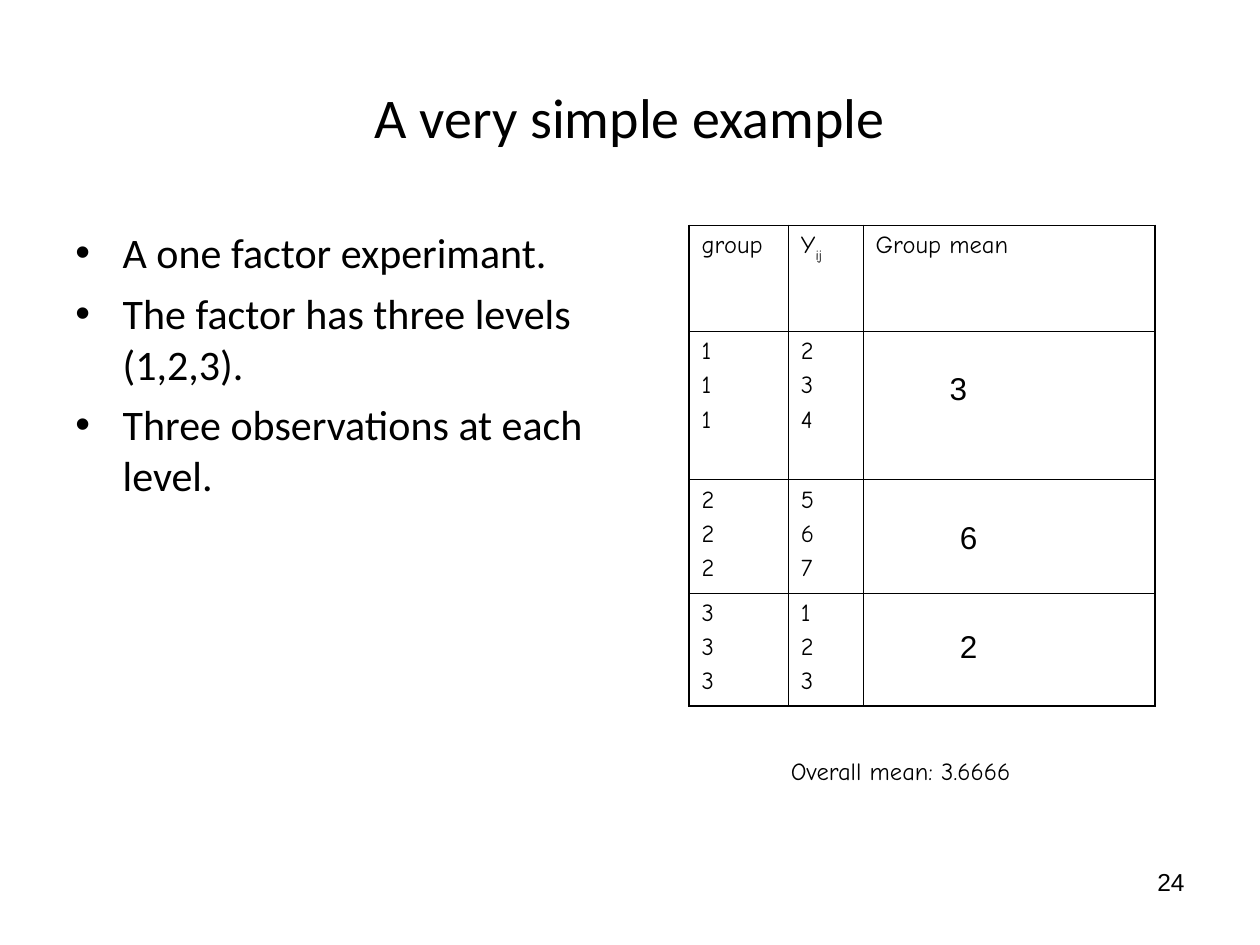
import pptx
import pptx.util
import pptx.dml.color
import pptx.enum.text
import pptx.oxml.ns
import lxml.etree

Pt = pptx.util.Pt
ALIGN = pptx.enum.text.PP_ALIGN
ANCHOR = pptx.enum.text.MSO_ANCHOR
BLACK = "000000"
HAND = "Comic Neue"


def color(code):
    """Turn a hex string into a colour."""
    return pptx.dml.color.RGBColor.from_string(code)


def node(parent, tag, **attrs):
    """Add a drawing element below a parent."""
    return lxml.etree.SubElement(parent, pptx.oxml.ns.qn(tag), **attrs)


def write(frame, text, font="Calibri", size=14, align=ALIGN.LEFT,
          anchor=ANCHOR.TOP, before=0, bullet=None, sub=""):
    """Fill a text frame, one paragraph a line, with an optional subscript."""
    frame.word_wrap = True
    frame.vertical_anchor = anchor
    for i, line in enumerate(text.split("\n")):
        para = frame.add_paragraph() if i else frame.paragraphs[0]
        para.alignment = align
        para.space_before = Pt(before)
        if bullet:
            props = para._p.get_or_add_pPr()
            props.set("marL", str(Pt(27)))
            props.set("indent", str(Pt(-27)))
            node(props, "a:buFont", typeface="Arial")
            node(props, "a:buChar", char=bullet)
        for part in filter(None, (line, sub)):
            run = para.add_run()
            run.text = part
            run.font.name = font
            run.font.size = Pt(size)
            run.font.color.rgb = color(BLACK)
        if sub:
            run._r.get_or_add_rPr().set("baseline", "-25000")


def label(slide, box, text, **style):
    """Place a text box."""
    shape = slide.shapes.add_textbox(*map(Pt, box))
    write(shape.text_frame, text, **style)


def border(cell, **sides):
    """Draw the four borders of a cell, given their widths."""
    props = cell._tc.get_or_add_tcPr()
    for spot, (side, width) in enumerate(sides.items()):
        line = lxml.etree.Element(pptx.oxml.ns.qn("a:ln" + side), w=str(Pt(width)))
        fill = node(line, "a:solidFill")
        node(fill, "a:srgbClr", val=BLACK)
        props.insert(spot, line)


def grid(slide, box, cols, rows, cells):
    """Place the table of groups, with a heavier outer frame."""
    table = slide.shapes.add_table(len(rows), len(cols), *map(Pt, box)).table
    table.first_row = table.horz_banding = False
    for col, width in zip(table.columns, cols):
        col.width = Pt(width)
    for r, (row, height) in enumerate(zip(table.rows, rows)):
        row.height = Pt(height)
        for c, cell in enumerate(row.cells):
            cell.fill.background()
            thick = {"L": c == 0, "R": c == len(cols) - 1,
                     "T": r == 0, "B": r == len(rows) - 1}
            border(cell, **{k: 1.08 if v else 0.45 for k, v in thick.items()})
            if cells[r][c]:
                text, sub = cells[r][c], ""
                if "_" in text:
                    text, sub = text.split("_")
                write(cell.text_frame, text, font=HAND, before=3.5, sub=sub)


def means(slide, left, top):
    """Place the group means and the overall mean over the table."""
    spots = (("3", 141.8, 78.5, 90), ("6", 147.6, 163.4, 51), ("2", 147.6, 226, 51))
    for text, x, y, width in spots:
        label(slide, (left + x, top + y, width, 29), text,
              font="Arial", size=18, before=11.2)
    label(slide, (left + 51.1, top + 299.5, 175.7, 24.5),
          "Overall mean: 3.6666", font=HAND, before=8.8)


def main():
    """Build the slide and save it."""
    deck = pptx.Presentation()
    deck.slide_width, deck.slide_height = Pt(720), Pt(540)
    slide = deck.slides.add_slide(deck.slide_layouts[6])
    label(slide, (36, 21.6, 648, 90), "A very simple example", size=32,
          align=ALIGN.CENTER, anchor=ANCHOR.MIDDLE)
    points = ("A one factor experimant.", "The factor has three levels (1,2,3).",
              "Three observations at each level.")
    label(slide, (36, 126, 318.2, 356.4), "\n".join(points), size=24,
          before=6, bullet="•")
    left, top = 393.8, 128.9
    cells = [("group", "Y_ij", "Group mean"), ("1\n1\n1", "2\n3\n4", ""),
             ("2\n2\n2", "5\n6\n7", ""), ("3\n3\n3", "1\n2\n3", "")]
    grid(slide, (left, top, 266.4, 274.5), (56.7, 42.7, 167),
         (60.3, 85, 64.6, 64.6), cells)
    means(slide, left, top)
    label(slide, (516.2, 491.8, 167.8, 37.4), "24", font="Arial", align=ALIGN.RIGHT)
    deck.save("out.pptx")


if __name__ == "__main__":
    main()
